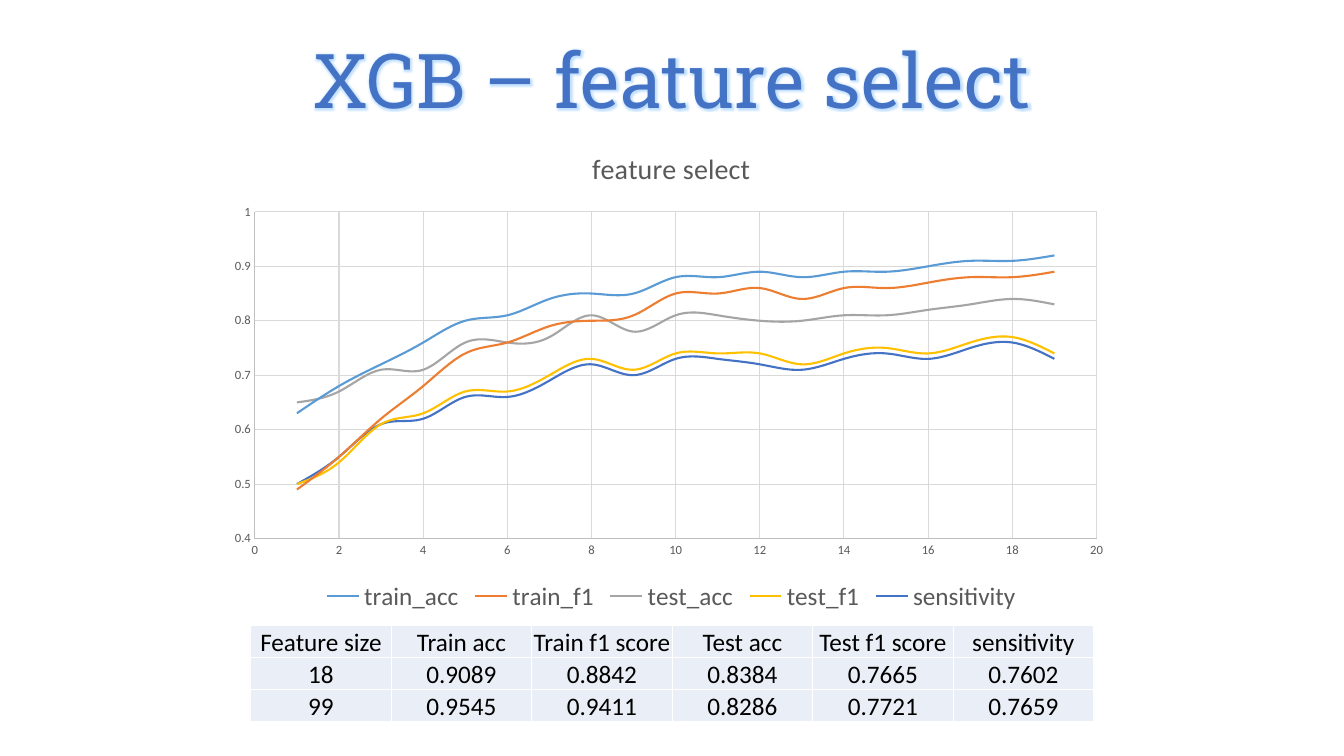
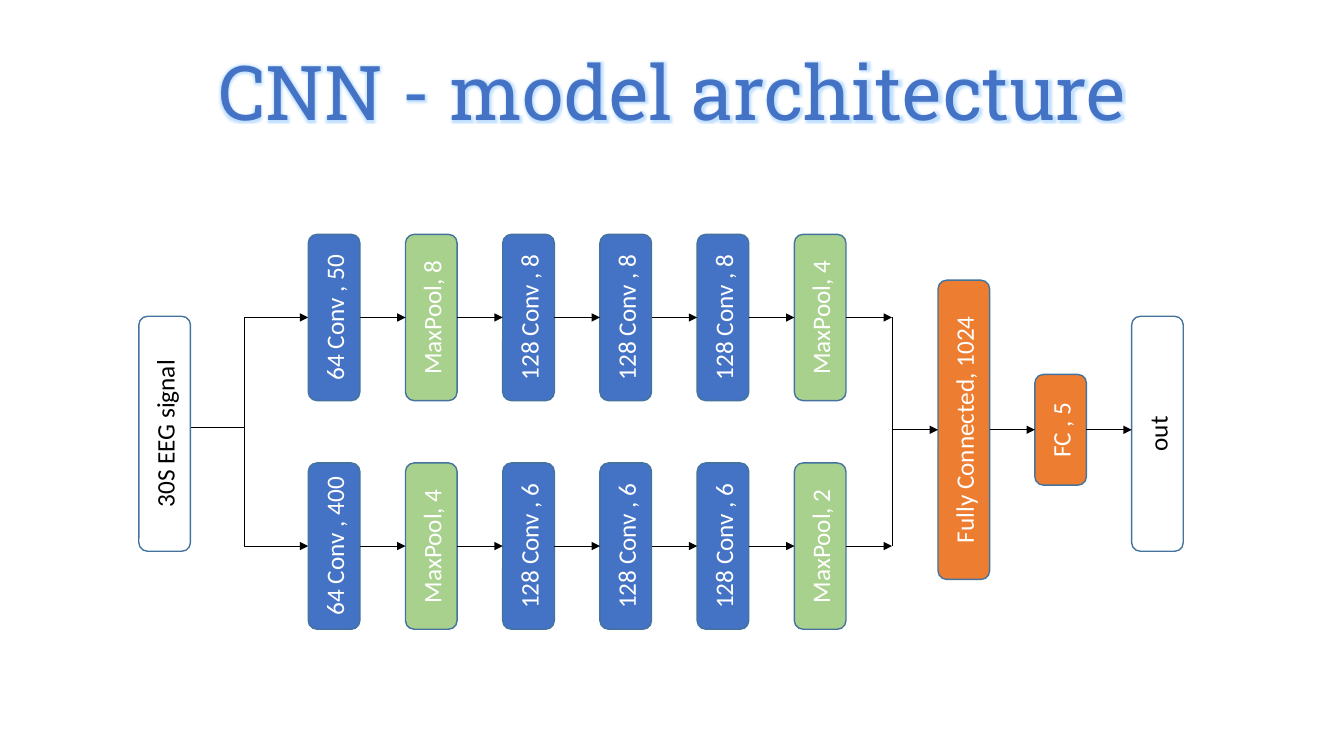
from itertools import pairwise

from lxml import etree
from pptx import Presentation
from pptx.chart.data import XyChartData
from pptx.dml.color import RGBColor
from pptx.enum.chart import XL_CHART_TYPE, XL_LEGEND_POSITION, XL_TICK_MARK
from pptx.enum.shapes import MSO_CONNECTOR, MSO_SHAPE
from pptx.enum.text import MSO_ANCHOR, MSO_AUTO_SIZE, PP_ALIGN
from pptx.oxml import parse_xml
from pptx.oxml.ns import nsdecls, qn
from pptx.util import Cm, Pt

WHITE = RGBColor(0xFF, 0xFF, 0xFF)
BLACK = RGBColor(0, 0, 0)
BLUE = RGBColor(0x44, 0x72, 0xC4)
LIGHT_BLUE = RGBColor(0x5B, 0x9B, 0xD5)
OUTLINE = RGBColor(0x43, 0x73, 0x9E)
GREEN = RGBColor(0xA9, 0xD1, 0x8E)
ORANGE = RGBColor(0xED, 0x7D, 0x31)
YELLOW = RGBColor(0xFF, 0xC0, 0x00)
GRAY = RGBColor(0xA5, 0xA5, 0xA5)
CHART_TEXT = RGBColor(0x59, 0x59, 0x59)
AXIS = RGBColor(0xBF, 0xBF, 0xBF)
GRID = RGBColor(0xD9, 0xD9, 0xD9)
CELL = RGBColor(0xEA, 0xEF, 0xF7)

TITLE_FONT = "Roboto Slab"
BODY_FONT = "Calibri"
SLIDE_WIDTH = 33.87
SLIDE_HEIGHT = 19.05
BLOCK_THICKNESS = 1.3
HALF_BLOCK = BLOCK_THICKNESS / 2

SCORES = [
    ("train_acc", LIGHT_BLUE, [0.63, 0.68, 0.72, 0.76, 0.8, 0.81, 0.84, 0.85, 0.85, 0.88,
                               0.88, 0.89, 0.88, 0.89, 0.89, 0.9, 0.91, 0.91, 0.92]),
    ("train_f1", ORANGE, [0.49, 0.55, 0.62, 0.68, 0.74, 0.76, 0.79, 0.8, 0.81, 0.85,
                          0.85, 0.86, 0.84, 0.86, 0.86, 0.87, 0.88, 0.88, 0.89]),
    ("test_acc", GRAY, [0.65, 0.67, 0.71, 0.71, 0.76, 0.76, 0.77, 0.81, 0.78, 0.81,
                        0.81, 0.8, 0.8, 0.81, 0.81, 0.82, 0.83, 0.84, 0.83]),
    ("test_f1", YELLOW, [0.5, 0.54, 0.61, 0.63, 0.67, 0.67, 0.7, 0.73, 0.71, 0.74,
                         0.74, 0.74, 0.72, 0.74, 0.75, 0.74, 0.76, 0.77, 0.74]),
    ("sensitivity", BLUE, [0.5, 0.55, 0.61, 0.62, 0.66, 0.66, 0.69, 0.72, 0.7, 0.73,
                           0.73, 0.72, 0.71, 0.73, 0.74, 0.73, 0.75, 0.76, 0.73]),
]

RESULTS = [
    ["Feature size", "Train acc", "Train f1 score", "Test acc", "Test f1 score", "sensitivity"],
    ["18", "0.9089", "0.8842", "0.8384", "0.7665", "0.7602"],
    ["99", "0.9545", "0.9411", "0.8286", "0.7721", "0.7659"],
]

LANES = [
    (8.0, ["64 Conv , 50", "MaxPool, 8", *["128 Conv , 8"] * 3, "MaxPool, 4"]),
    (13.76, ["64 Conv , 400", "MaxPool, 4", *["128 Conv , 6"] * 3, "MaxPool, 2"]),
]


class Deck:
    """Holds the shared style and the slide being filled."""

    def __init__(self):
        self.presentation = Presentation()
        self.presentation.slide_width = Cm(SLIDE_WIDTH)
        self.presentation.slide_height = Cm(SLIDE_HEIGHT)
        self.slide = None

    def style(self, font, size, color, name=BODY_FONT):
        font.name, font.size, font.bold = name, Pt(size), False
        font.color.rgb = color

    def add_text(self, frame, text, size, color, name=BODY_FONT):
        """Put one centred run into the frame's first paragraph."""
        paragraph = frame.paragraphs[0]
        paragraph.alignment = PP_ALIGN.CENTER
        run = paragraph.add_run()
        run.text = text
        self.style(run.font, size, color, name)
        return run

    def add_slide(self, heading, top):
        self.slide = self.presentation.slides.add_slide(self.presentation.slide_layouts[5])
        title = self.slide.shapes.title
        title.left, title.top = Cm(0), Cm(top)
        title.width, title.height = Cm(SLIDE_WIDTH), Cm(2.57)
        frame = title.text_frame
        frame.auto_size = MSO_AUTO_SIZE.NONE
        frame.vertical_anchor = MSO_ANCHOR.MIDDLE
        run = self.add_text(frame, heading, 54, BLUE, TITLE_FONT)
        glow = parse_xml(
            f'<a:effectLst {nsdecls("a")}><a:glow rad="38100"><a:srgbClr val="99CCFF">'
            '<a:alpha val="60000"/></a:srgbClr></a:glow>'
            '<a:outerShdw blurRad="38100" dist="25400" dir="2700000" algn="tl">'
            '<a:srgbClr val="99CCFF"/></a:outerShdw></a:effectLst>')
        run.font._element.find(qn("a:solidFill")).addnext(glow)

    def score_chart(self, left, top, width, height, heading, scores):
        data = XyChartData()
        for name, _, values in scores:
            series = data.add_series(name)
            for size, value in enumerate(values, 1):
                series.add_data_point(size, value)
        chart = self.slide.shapes.add_chart(
            XL_CHART_TYPE.XY_SCATTER_SMOOTH_NO_MARKERS,
            Cm(left), Cm(top), Cm(width), Cm(height), data).chart
        self.style(chart.font, 10, BLACK)
        chart.has_title = True
        self.add_text(chart.chart_title.text_frame, heading, 20, CHART_TEXT)
        chart.chart_title.include_in_layout = False
        chart.has_legend = True
        chart.legend.position = XL_LEGEND_POSITION.BOTTOM
        chart.legend.include_in_layout = False
        self.style(chart.legend.font, 18, CHART_TEXT)
        plot = chart.plots[0]
        plot.vary_by_categories = False
        for series, (_, color, _) in zip(plot.series, scores):
            series.format.line.color.rgb = color
            series.format.line.width = Pt(1.5)
            series._element.find(qn("c:smooth")).set("val", "1")
        self.axis(chart.category_axis, 0, 20, 2)
        self.axis(chart.value_axis, 0.4, 1, 0.1)
        self.place_plot(chart, x=0.04, y=0.17, w=0.93, h=0.67)

    def axis(self, axis, minimum, maximum, step):
        axis.minimum_scale, axis.maximum_scale, axis.major_unit = minimum, maximum, step
        axis.major_tick_mark = axis.minor_tick_mark = XL_TICK_MARK.NONE
        axis.has_major_gridlines = True
        for line, color in ((axis.format.line, AXIS), (axis.major_gridlines.format.line, GRID)):
            line.color.rgb = color
            line.width = Pt(0.75)
        axis.tick_labels.number_format = "General"
        axis.tick_labels.number_format_is_linked = False
        self.style(axis.tick_labels.font, 9, CHART_TEXT)

    def place_plot(self, chart, **fractions):
        """Fix the inner plot area, given as fractions of the chart."""
        area = chart._chartSpace.find(f".//{qn('c:plotArea')}")
        for layout in area.findall(qn("c:layout")):
            area.remove(layout)
        layout = parse_xml(f'<c:layout {nsdecls("c")}><c:manualLayout/></c:layout>')
        settings = [("layoutTarget", "inner"), ("xMode", "edge"), ("yMode", "edge")]
        for tag, value in [*settings, *fractions.items()]:
            etree.SubElement(layout[0], qn(f"c:{tag}")).set("val", str(value))
        area.insert(0, layout)

    def table(self, left, top, column_width, row_height, rows):
        table = self.slide.shapes.add_table(
            len(rows), len(rows[0]), Cm(left), Cm(top),
            Cm(column_width * len(rows[0])), Cm(row_height * len(rows))).table
        table.first_row = table.horz_banding = False
        for column in table.columns:
            column.width = Cm(column_width)
        for row, texts in zip(table.rows, rows):
            row.height = Cm(row_height)
            for cell, text in zip(row.cells, texts):
                self.fill_cell(cell, text)

    def fill_cell(self, cell, text):
        cell.margin_left = cell.margin_right = cell.margin_top = Cm(0.03)
        cell.margin_bottom = Cm(0)
        cell.vertical_anchor = MSO_ANCHOR.MIDDLE
        self.add_text(cell.text_frame, text, 18, BLACK)
        properties = cell._tc.get_or_add_tcPr()
        for side in ("lnL", "lnR", "lnT", "lnB"):
            properties.append(parse_xml(
                f'<a:{side} {nsdecls("a")} w="{Pt(1)}"><a:solidFill>'
                f'<a:srgbClr val="{WHITE}"/></a:solidFill></a:{side}>'))
        cell.fill.solid()
        cell.fill.fore_color.rgb = CELL

    def block(self, center_x, center_y, length, text, fill, color=WHITE):
        """Add an upright layer block whose text reads from bottom to top."""
        block = self.slide.shapes.add_shape(
            MSO_SHAPE.ROUNDED_RECTANGLE, Cm(center_x - length / 2),
            Cm(center_y - HALF_BLOCK), Cm(length), Cm(BLOCK_THICKNESS))
        block.rotation = 270
        block.shadow.inherit = False
        block.fill.solid()
        block.fill.fore_color.rgb = fill
        block.line.color.rgb = OUTLINE
        block.line.width = Pt(1)
        block.text_frame.word_wrap = True
        block.text_frame.vertical_anchor = MSO_ANCHOR.MIDDLE
        self.add_text(block.text_frame, text, 18, color)

    def connect(self, start, end, kind=MSO_CONNECTOR.STRAIGHT, arrow=True):
        connector = self.slide.shapes.add_connector(kind, *map(Cm, (*start, *end)))
        connector.line.color.rgb = BLACK
        connector.line.width = Pt(0.5)
        properties = connector._element.spPr
        if arrow:
            outline = properties.find(qn("a:ln"))
            etree.SubElement(outline, qn("a:tailEnd")).set("type", "triangle")
        etree.SubElement(properties, qn("a:effectLst"))


def build_feature_slide(deck):
    deck.add_slide("XGB – feature select", 0.69)
    deck.score_chart(5.51, 3.25, 22.81, 12.29, "feature select", SCORES)
    deck.table(6.32, 15.77, 3.54, 0.77, RESULTS)


def build_architecture_slide(deck):
    deck.add_slide("CNN - model architecture", 0.99)
    middle, signal_x, merge_x = 10.83, 4.15, 22.48
    layer_xs = [8.42 + 2.45 * column for column in range(6)]
    for lane_y, layers in LANES:
        deck.connect((4.55, middle - 0.06), (layer_xs[0] - HALF_BLOCK, lane_y),
                     MSO_CONNECTOR.ELBOW)
        for x, layer in zip(layer_xs, layers):
            fill = GREEN if layer.startswith("MaxPool") else BLUE
            deck.block(x, lane_y, 4.19, layer, fill)
        for x, next_x in pairwise([*layer_xs, merge_x + HALF_BLOCK]):
            deck.connect((x + HALF_BLOCK, lane_y), (next_x - HALF_BLOCK, lane_y))
    deck.connect((merge_x, LANES[0][0]), (merge_x, LANES[1][0]), arrow=False)

    deck.block(signal_x, middle + 0.1, 5.92, "30S EEG signal", WHITE, BLACK)
    head_xs = [24.29 + 2.44 * column for column in range(3)]
    deck.block(head_xs[0], middle, 7.54, "Fully Connected, 1024", ORANGE)
    deck.block(head_xs[1], middle, 2.79, "FC , 5", ORANGE)
    deck.block(head_xs[2], middle + 0.1, 5.92, "out", WHITE, BLACK)
    for x, next_x in pairwise([merge_x - HALF_BLOCK, *head_xs]):
        deck.connect((x + HALF_BLOCK, middle), (next_x - HALF_BLOCK, middle))


def main():
    deck = Deck()
    build_feature_slide(deck)
    build_architecture_slide(deck)
    deck.presentation.save("out.pptx")


if __name__ == "__main__":
    main()
